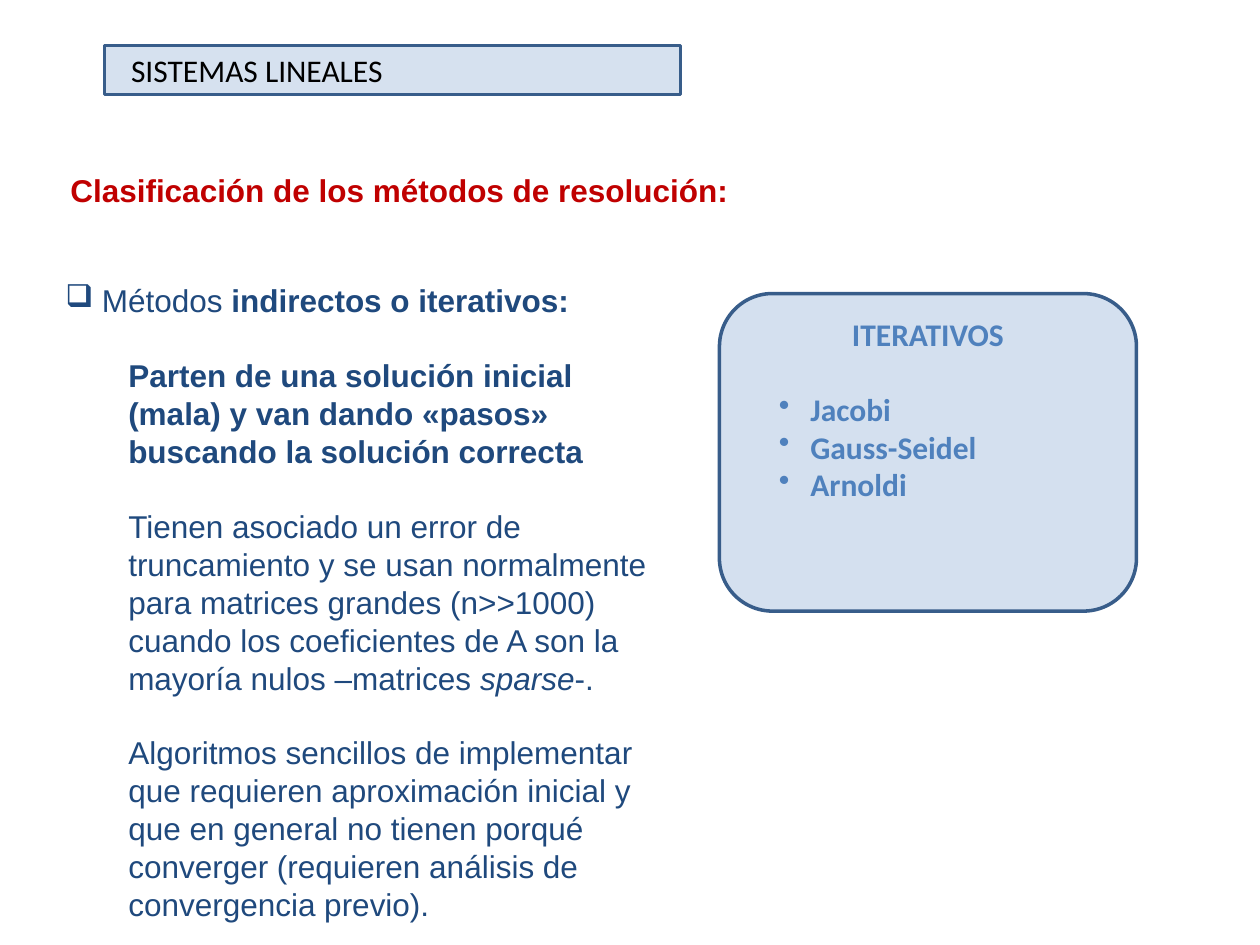
from lxml.etree import SubElement
from pptx import Presentation
from pptx.dml.color import RGBColor
from pptx.enum.shapes import MSO_SHAPE as Shape
from pptx.enum.text import MSO_ANCHOR as Anchor, PP_ALIGN as Align
from pptx.oxml.ns import qn
from pptx.util import Inches, Pt

NAVY = RGBColor(0x1F, 0x49, 0x7D)
BLUE = RGBColor(0x4F, 0x81, 0xBD)
BORDER = RGBColor(0x38, 0x5D, 0x8A)
RED = RGBColor(0xC0, 0x00, 0x00)
BLACK = RGBColor(0x00, 0x00, 0x00)

GAP = Pt(21)
ARIAL_LINE = Pt(21.7)


def add_panel(page, kind, box, opacity):
    """Add a translucent blue panel with a dark border."""
    panel = page.shapes.add_shape(kind, *map(Inches, box))
    panel.shadow.inherit = False
    panel.fill.solid()
    panel.fill.fore_color.rgb = BLUE
    color = panel.fill._xPr.find(qn("a:solidFill"))[0]
    SubElement(color, qn("a:alpha"), val=str(opacity * 1000))
    panel.line.color.rgb = BORDER
    panel.line.width = Pt(2)
    return panel


def add_text_box(page, box, wrap=True):
    frame = page.shapes.add_textbox(*map(Inches, box)).text_frame
    frame.word_wrap = wrap
    return frame


def set_bullet(para, mark, color, margin, hanging):
    """Give the paragraph a coloured bullet with a hanging indent."""
    props = para._p.get_or_add_pPr()
    props.set("marL", str(Inches(margin)))
    props.set("indent", str(-Inches(hanging)))
    bullet_color = SubElement(props, qn("a:buClr"))
    SubElement(bullet_color, qn("a:srgbClr"), val=str(color))
    SubElement(props, qn("a:buChar"), char=mark)


def set_indent(para, margin):
    para._p.get_or_add_pPr().set("marL", str(Inches(margin)))


def add_spans(para, spans, **base):
    """Add (text, changes) spans that share a base format."""
    for text, changes in spans:
        span = para.add_run()
        span.text = text
        span.font.size = Pt(18)
        color = base["color"]
        span.font.color.rgb = color
        formats = {"name": base["name"], "bold": base.get("bold", False)}
        for key, value in (formats | changes).items():
            setattr(span.font, key, value)


def add_header(page, box):
    add_panel(page, Shape.RECTANGLE, box, 23)
    left, top, _, _ = box
    frame = add_text_box(page, (left, top, 2.32, 0.4), wrap=False)
    frame.margin_left = Inches(0.21)
    add_spans(frame.paragraphs[0], [("SISTEMAS LINEALES", {})],
              name="Calibri", color=BLACK)


def add_heading(page, box):
    para = add_text_box(page, box, wrap=False).paragraphs[0]
    para.line_spacing = ARIAL_LINE
    add_spans(para, [("Clasificación de los métodos de resolución:", {})],
              name="Arial", color=RED, bold=True)


def add_method_card(page, box):
    card = add_panel(page, Shape.ROUNDED_RECTANGLE, box, 24)
    card.adjustments[0] = 0.167
    frame = card.text_frame
    frame.vertical_anchor = Anchor.TOP
    style = {"name": "Calibri", "color": BLUE, "bold": True}

    title = frame.paragraphs[0]
    title.alignment = Align.CENTER
    add_spans(title, [("ITERATIVOS", {})], **style)

    for index, method in enumerate(("Jacobi", "Gauss-Seidel", "Arnoldi")):
        para = frame.add_paragraph()
        set_bullet(para, "•", BLUE, 0.5, 0.25)
        para.alignment = Align.LEFT
        if index == 0:
            para.space_before = GAP
        add_spans(para, [(method, {})], **style)


def add_description(page, box):
    frame = add_text_box(page, box)
    paragraphs = [
        [("Métodos ", {}), ("indirectos o iterativos:", {"bold": True})],
        [("Parten de una solución inicial (mala) y van dando «pasos» "
          "buscando la solución correcta", {"bold": True})],
        [("Tienen asociado un error de truncamiento y se usan normalmente "
          "para matrices grandes (n>>1000) cuando los coeficientes de A son "
          "la mayoría nulos –matrices ", {}),
         ("sparse", {"italic": True}), ("-.", {})],
        [("Algoritmos sencillos de implementar que requieren aproximación "
          "inicial y que en general no tienen porqué converger (requieren "
          "análisis de convergencia previo).", {})],
    ]
    for index, spans in enumerate(paragraphs):
        if index == 0:
            para = frame.paragraphs[0]
            set_bullet(para, "❑", NAVY, 0.29, 0.29)
        else:
            para = frame.add_paragraph()
            set_indent(para, 0.5)
            para.space_before = GAP
        para.line_spacing = ARIAL_LINE
        add_spans(para, spans, name="Arial", color=NAVY)


def main():
    deck = Presentation()
    deck.slide_width, deck.slide_height = Inches(10), Inches(7.5)
    page = deck.slides.add_slide(deck.slide_layouts[6])

    # Title bar and section heading
    add_header(page, (0.83, 0.36, 4.57, 0.39))
    add_heading(page, (0.46, 1.31, 5.42, 0.4))

    # Method list on the right, explanation on the left
    add_method_card(page, (5.71, 2.33, 3.31, 2.52))
    add_description(page, (0.42, 2.18, 5, 5.2))

    deck.save("out.pptx")


if __name__ == "__main__":
    main()
